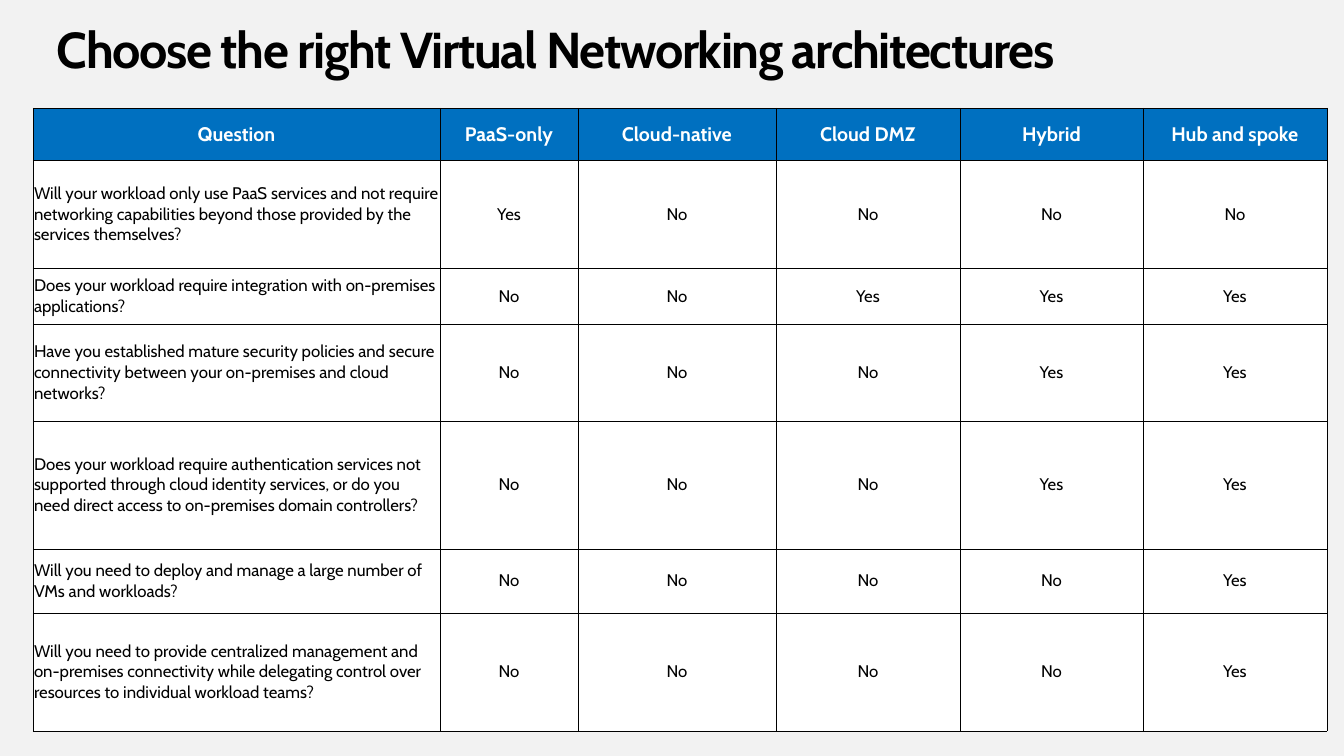
"""Build a slide with a decision table for virtual networking architectures."""
from lxml.etree import SubElement
from pptx import Presentation
from pptx.dml.color import RGBColor
from pptx.enum.text import MSO_ANCHOR, MSO_AUTO_SIZE, PP_ALIGN
from pptx.oxml.ns import qn
from pptx.util import Pt

PX = 12192000 / 1344
HEX = {"back": "F2F2F2", "head": "0070C0", "body": "FFFFFF", "ink": "000000"}
HEADS = ["Question", "PaaS-only", "Cloud-native", "Cloud DMZ", "Hybrid", "Hub and spoke"]
ROWS = [
    ("Will your workload only use PaaS services and not require networking "
     "capabilities beyond those provided by the services themselves?", "Yes No No No No"),
    ("Does your workload require integration with on-premises applications?",
     "No No Yes Yes Yes"),
    ("Have you established mature security policies and secure connectivity "
     "between your on-premises and cloud networks?", "No No No Yes Yes"),
    ("Does your workload require authentication services not supported through cloud "
     "identity services, or do you need direct access to on-premises domain controllers?",
     "No No No Yes Yes"),
    ("Will you need to deploy and manage a large number of VMs and workloads?",
     "No No No No Yes"),
    ("Will you need to provide centralized management and on-premises connectivity "
     "while delegating control over resources to individual workload teams?",
     "No No No No Yes"),
]
WIDE = [407, 138, 198, 184, 183, 184]
HIGH = [52, 108, 56, 97, 128, 64, 118]


def px(n):
    return round(n * PX)


def write(frame, text, size, color="ink", bold=False, align=PP_ALIGN.LEFT):
    para = frame.paragraphs[0]
    para.alignment = align
    run = para.add_run()
    run.text = text
    run.font.name = "Cabin"
    run.font.size = Pt(size)
    run.font.bold = bold
    run.font.color.rgb = RGBColor.from_string(HEX[color])
    return para


deck = Presentation()
deck.slide_width, deck.slide_height = px(1344), px(756)
slide = deck.slides.add_slide(deck.slide_layouts[5])
slide.background.fill.solid()
slide.background.fill.fore_color.rgb = RGBColor.from_string(HEX["back"])

title = slide.shapes.title
title.left, title.top, title.width, title.height = px(57), px(25), px(1230), px(83)
frame = title.text_frame
frame.margin_left = frame.margin_right = frame.margin_top = frame.margin_bottom = 0
frame.vertical_anchor = MSO_ANCHOR.TOP
frame.auto_size = MSO_AUTO_SIZE.NONE
frame.word_wrap = True
para = write(frame, "Choose the right Virtual Networking architectures", 36, bold=True)
para.line_spacing = 0.9
para.runs[0].font._element.set("spc", "-100")

table = slide.shapes.add_table(
    len(HIGH), len(WIDE), px(33), px(108), px(sum(WIDE)), px(sum(HIGH))).table
for col, wide in zip(table.columns, WIDE):
    col.width = px(wide)
for row, high in zip(table.rows, HIGH):
    row.height = px(high)

grid = [HEADS] + [[ask, *reply.split()] for ask, reply in ROWS]
for r, texts in enumerate(grid):
    for c, text in enumerate(texts):
        cell = table.cell(r, c)
        cell.vertical_anchor = MSO_ANCHOR.MIDDLE
        cell.margin_left = cell.margin_right = px(1)
        cell.margin_top = cell.margin_bottom = 0
        props = cell._tc.get_or_add_tcPr()
        for side in ("a:lnL", "a:lnR", "a:lnT", "a:lnB"):
            line = SubElement(props, qn(side), w=str(Pt(0.25)))
            SubElement(SubElement(line, qn("a:solidFill")), qn("a:srgbClr"), val=HEX["ink"])
        cell.fill.solid()
        cell.fill.fore_color.rgb = RGBColor.from_string(HEX["body" if r else "head"])
        align = PP_ALIGN.LEFT if r and not c else PP_ALIGN.CENTER
        if r:
            write(cell.text_frame, text, 12, align=align)
        else:
            write(cell.text_frame, text, 14, color="body", bold=True, align=align)

deck.save("out.pptx")
